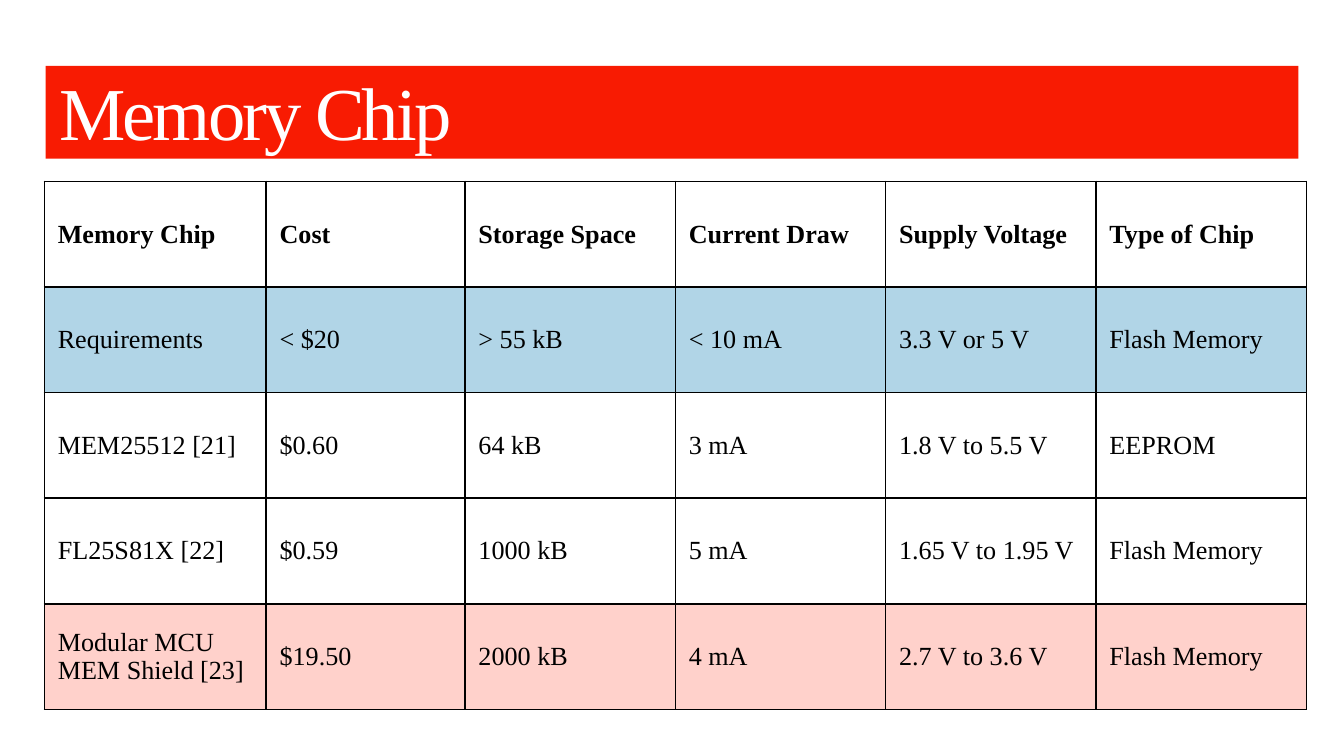
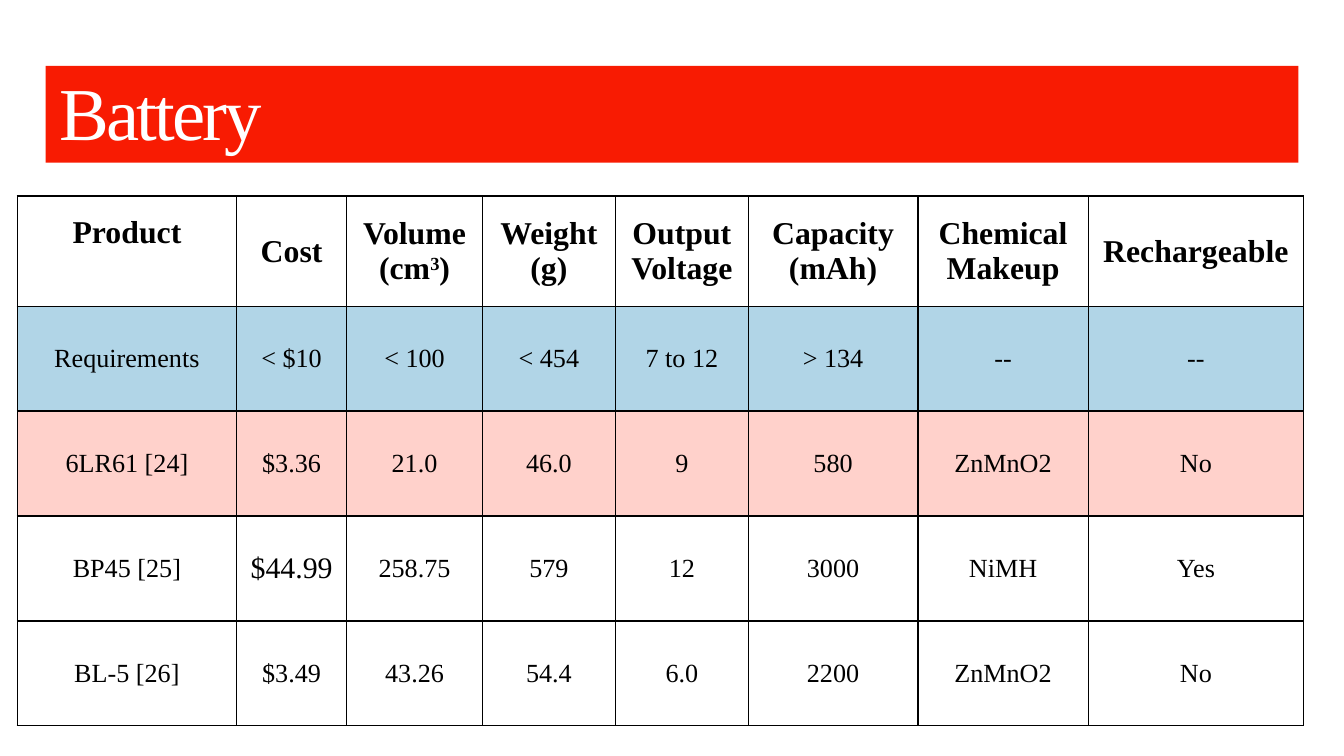
from lxml.etree import SubElement
from pptx import Presentation
from pptx.dml.color import RGBColor
from pptx.enum.text import MSO_ANCHOR, MSO_AUTO_SIZE, PP_ALIGN
from pptx.oxml.ns import qn
from pptx.util import Inches, Pt

FONT = "Times New Roman"
BAND, WHITE, BLACK = "F81B02", "FFFFFF", "000000"
REQUIRED, CHOSEN = "B1D5E7", "FFD1CB"
SLIDE_WIDTH = 10
SLIDE_HEIGHT = SLIDE_WIDTH * 9 / 16
TITLE_LEFT, TITLE_TOP, TITLE_WIDTH = 0.34, 0.49, 9.32
HEADER_LINE = 0.27

slides = [
    {
        "title": "Memory Chip", "title_height": 0.69,
        "left": 0.33, "top": 1.35,
        "columns": [1.65, 1.48] + [(9.39 - 1.65 - 1.48) / 4] * 4,
        "heights": [3.93 / 5] * 5,
        "align": PP_ALIGN.LEFT, "header_size": 14, "chosen_row": 4,
        "rows": [
            ["Memory Chip", "Cost", "Storage Space", "Current Draw", "Supply Voltage", "Type of Chip"],
            ["Requirements", "< $20", "> 55 kB", "< 10 mA", "3.3 V or 5 V", "Flash Memory"],
            ["MEM25512 [21]", "$0.60", "64 kB", "3 mA", "1.8 V to 5.5 V", "EEPROM"],
            ["FL25S81X [22]", "$0.59", "1000 kB", "5 mA", "1.65 V to 1.95 V", "Flash Memory"],
            ["Modular MCU MEM Shield [23]", "$19.50", "2000 kB", "4 mA", "2.7 V to 3.6 V", "Flash Memory"],
        ],
    },
    {
        "title": "Battery", "title_height": 0.72,
        "left": 0.13, "top": 1.46,
        "columns": [1.63, 0.82, 1.01, 0.99, 0.99, 1.26, 1.27, 1.6],
        "heights": [0.82] + [0.78] * 4,
        "align": PP_ALIGN.CENTER, "header_size": 17, "chosen_row": 2,
        "rows": [
            ["Product", "Cost", "Volume (cm^3^)", "Weight (g)", "Output Voltage",
             "Capacity (mAh)", "Chemical Makeup", "Rechargeable"],
            ["Requirements", "< $10", "< 100", "< 454", "7 to 12", "> 134", "--", "--"],
            ["6LR61 [24]", "$3.36", "21.0", "46.0", "9", "580", "ZnMnO2", "No"],
            ["BP45 [25]", "$44.99", "258.75", "579", "12", "3000", "NiMH", "Yes"],
            ["BL-5 [26]", "$3.49", "43.26", "54.4", "6.0", "2200", "ZnMnO2", "No"],
        ],
    },
]


def color(value):
    return RGBColor.from_string(value)


def style_cell(cell, text, size, bold, align, fill):
    """Fill and border a cell; text between ^ marks is superscript."""
    properties = cell._tc.get_or_add_tcPr()
    for side in ("a:lnL", "a:lnR", "a:lnT", "a:lnB"):
        line = SubElement(properties, qn(side), w=str(Pt(1)))
        SubElement(SubElement(line, qn("a:solidFill")), qn("a:srgbClr"), val=BLACK)
    if fill:
        cell.fill.solid()
        cell.fill.fore_color.rgb = color(fill)
    else:
        cell.fill.background()
    cell.vertical_anchor = MSO_ANCHOR.MIDDLE
    paragraph = cell.text_frame.paragraphs[0]
    paragraph.alignment = align
    for index, part in enumerate(text.split("^")):
        span = paragraph.add_run()
        span.text = part
        span.font.name = FONT
        span.font.size = Pt(size)
        span.font.bold = bold
        span.font.color.rgb = color(BLACK)
        if index % 2:
            span.font._element.set("baseline", "30000")


deck = Presentation()
deck.slide_width, deck.slide_height = Inches(SLIDE_WIDTH), Inches(SLIDE_HEIGHT)

for content in slides:
    page = deck.slides.add_slide(deck.slide_layouts[5])

    title = page.shapes.title
    title.left, title.top = Inches(TITLE_LEFT), Inches(TITLE_TOP)
    title.width, title.height = Inches(TITLE_WIDTH), Inches(content["title_height"])
    title.fill.solid()
    title.fill.fore_color.rgb = color(BAND)
    frame = title.text_frame
    frame.text = content["title"]
    frame.auto_size = MSO_AUTO_SIZE.NONE
    frame.vertical_anchor = MSO_ANCHOR.TOP
    frame.margin_left = frame.margin_right = Inches(0.1)
    frame.margin_top = frame.margin_bottom = Inches(0.1)
    paragraph = frame.paragraphs[0]
    paragraph.alignment = PP_ALIGN.LEFT
    paragraph.line_spacing = 0.85
    font = paragraph.runs[0].font
    font.name, font.size = FONT, Pt(40)
    font.color.rgb = color(WHITE)
    font._element.set("spc", "-150")

    rows, columns, heights = content["rows"], content["columns"], content["heights"]
    table = page.shapes.add_table(
        len(rows), len(columns), Inches(content["left"]), Inches(content["top"]),
        Inches(sum(columns)), Inches(sum(heights))).table
    table.first_row = table.horz_banding = False
    for column, width in zip(table.columns, columns):
        column.width = Inches(width)
    for row, height in zip(table.rows, heights):
        row.height = Inches(height)

    fills = {1: REQUIRED, content["chosen_row"]: CHOSEN}
    for row_index, row in enumerate(rows):
        for column_index, text in enumerate(row):
            header = row_index == 0
            size = content["header_size"] if header else 14
            if text == "$44.99":
                size = 16
            cell = table.cell(row_index, column_index)
            style_cell(cell, text, size, header, content["align"], fills.get(row_index))
            if text == "Product":
                cell.margin_bottom = Inches(0.05 + HEADER_LINE)

deck.save("out.pptx")
